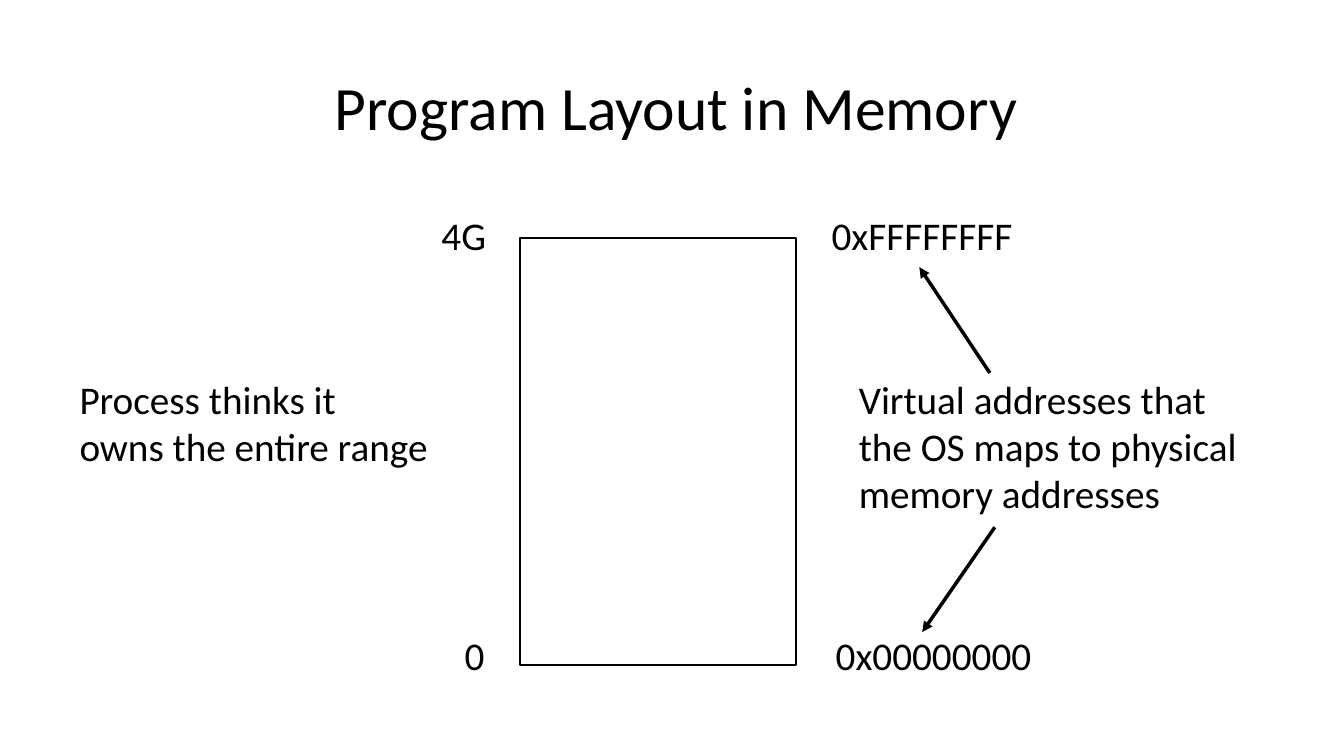
from lxml.etree import SubElement
from pptx import Presentation
from pptx.dml.color import RGBColor
from pptx.enum.shapes import MSO_CONNECTOR, MSO_SHAPE
from pptx.oxml.ns import qn
from pptx.util import Inches, Pt

WIDTH, HEIGHT = Inches(13.33), Inches(7.5)
COLUMN, ROW = WIDTH / 100, HEIGHT / 100
INK = "000000"
TITLE_FORMAT = {"name": "Calibri", "size": Pt(44)}
BODY_FORMAT = {"name": "Calibri", "size": Pt(28)}
FRAME_FORMAT = {"word_wrap": True, "margin_left": 0, "margin_right": 0,
                "margin_top": Inches(0.01), "margin_bottom": 0}


def paint(color_format, color):
    """Set a colour from a hex string."""
    color_format.rgb = RGBColor.from_string(color)


def apply_format(target, values):
    """Set every attribute named in the format values."""
    for name, value in values.items():
        setattr(target, name, value)


def to_length(box):
    """Turn columns and rows into slide lengths."""
    return [round(share * unit) for share, unit in zip(box, (COLUMN, ROW) * 2)]


def add_text(page, box, text, font_format=BODY_FORMAT):
    """Write text in a box given in columns and rows."""
    frame = page.shapes.add_textbox(*to_length(box)).text_frame
    apply_format(frame, FRAME_FORMAT)
    para = frame.paragraphs[0]
    para.text = text
    para.space_before = Pt(1)
    for span in para.runs:
        apply_format(span.font, font_format)
        paint(span.font.color, INK)


def add_arrow(page, ends):
    """Draw an arrow between two points given in columns and rows."""
    arrow = page.shapes.add_connector(MSO_CONNECTOR.STRAIGHT, *to_length(ends))
    arrow.line.width = Pt(2.5)
    paint(arrow.line.color, INK)
    SubElement(arrow.line._get_or_add_ln(), qn("a:tailEnd"), type="triangle")
    SubElement(arrow._element.spPr, qn("a:effectLst"))


def add_title(page, box):
    """Write the slide title."""
    add_text(page, box, "Program Layout in Memory", TITLE_FORMAT)


def add_memory(page, box):
    """Draw the memory block with its sizes and addresses at both ends."""
    left, top, width, height = box
    block = page.shapes.add_shape(MSO_SHAPE.RECTANGLE, *to_length(box))
    block.shadow.inherit = False
    block.fill.background()
    block.line.width = Pt(1.5)
    paint(block.line.color, INK)
    labels = [("4G", -5.85, -3.6, 4.5), ("0", -4.13, height - 4.67, 3),
              ("0xFFFFFFFF", width + 2.63, -3.6, 15),
              ("0x00000000", width + 2.93, height - 4.67, 15)]
    for text, across, down, label_width in labels:
        add_text(page, (left + across, top + down, label_width, 6.53), text)


def add_process_note(page, box):
    """Write what the process believes."""
    add_text(page, box, "Process thinks it\vowns the entire range")


def add_address_note(page, box):
    """Explain the addresses and point at both of them."""
    left, top, width, height = box
    add_text(page, box, "Virtual addresses that\vthe OS maps to physical\vmemory addresses")
    for start_x, start_y, end_x, end_y in [
            (9.75, -0.13, 4.5, -14.13), (10.12, height + 1.2, 4.72, height + 15.07)]:
        begin_x, begin_y = left + start_x, top + start_y
        x1, y1, x2, y2 = begin_x, begin_y, left + end_x, top + end_y
        add_arrow(page, (x1, y1, x2, y2))


def main():
    """Build and save the deck."""
    deck = Presentation()
    apply_format(deck, {"slide_width": WIDTH, "slide_height": HEIGHT})
    page = deck.slides.add_slide(deck.slide_layouts[6])
    add_title(page, (24.9, 8.93, 56.85, 10.13))
    add_memory(page, (38.7, 31.47, 20.55, 56.53))
    add_process_note(page, (5.92, 49.47, 27, 12.93))
    add_address_note(page, (63.9, 49.47, 28.9, 19.07))
    deck.save("out.pptx")


if __name__ == "__main__":
    main()
